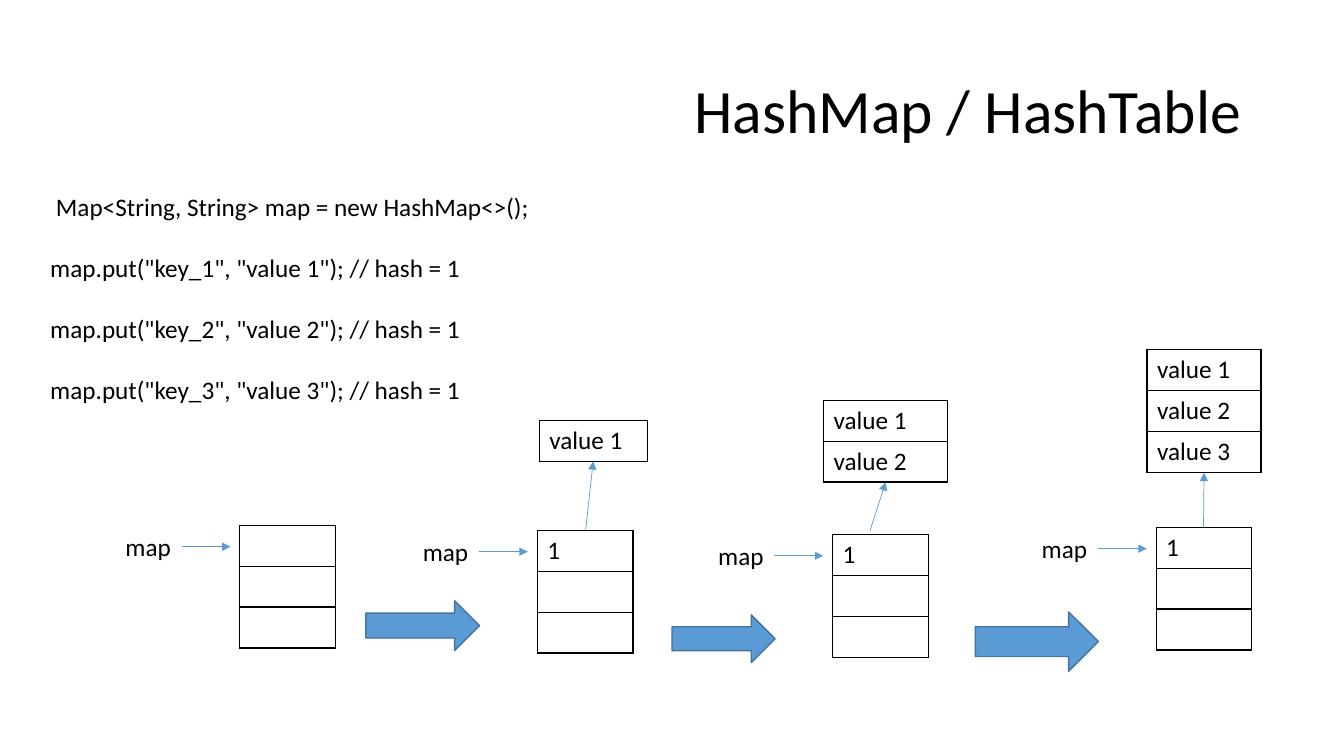
"""Builds the slide that shows a hash table filling one bucket."""
from dataclasses import dataclass
from typing import Any

from lxml.etree import SubElement as Sub
from pptx import Presentation
from pptx.dml.color import RGBColor
from pptx.enum.shapes import MSO_CONNECTOR as Link, MSO_SHAPE as Kind
from pptx.enum.text import MSO_ANCHOR as Anchor, MSO_AUTO_SIZE as Fit, PP_ALIGN as Align
from pptx.oxml.ns import qn
from pptx.util import Inches, Pt

BLACK = RGBColor(0, 0, 0)
BLUE = RGBColor(0x5B, 0x9B, 0xD5)
NAVY = RGBColor(0x43, 0x73, 0x9E)

WIDE, HIGH = Inches(13.333), Inches(7.5)
COL, ROW = WIDE / 40, HIGH / 22.5
CELL = 1.22

BODY = {"size": Pt(18), "name": "Calibri"}
HEAD = {"size": Pt(44), "name": "Calibri"}
CODE = (
    " Map<String, String> map = new HashMap<>();",
    'map.put("key_1", "value 1"); // hash = 1',
    'map.put("key_2", "value 2"); // hash = 1',
    'map.put("key_3", "value 3"); // hash = 1',
)


@dataclass
class Box:
    x: float
    y: float
    w: float
    h: float = CELL

    def emu(self) -> tuple[int, ...]:
        return round(self.x * COL), round(self.y * ROW), round(self.w * COL), round(self.h * ROW)


@dataclass
class Chain:
    box: Box
    size: int
    root: tuple[float, float]


@dataclass
class State:
    x: float
    y: float
    chain: Chain | None = None


STATES = (
    State(7.14, 15.63),
    State(15.99, 15.78, Chain(Box(16.05, 12.51, 3.21), 1, (17.43, 15.78))),
    State(24.78, 15.9, Chain(Box(24.51, 11.91, 3.7), 2, (25.89, 15.81))),
    State(34.41, 15.69, Chain(Box(34.14, 10.41, 3.39), 3, (35.82, 15.69))),
)
STEPS = (Box(10.89, 17.88, 3.38, 1.48), Box(20, 18.3, 3.07, 1.42), Box(29.03, 18.21, 3.66, 1.77))


def apply(item: Any, form: dict[str, Any]) -> None:
    for key, value in form.items():
        setattr(item, key, value)


def write(para: Any, text: str, form: dict[str, Any]) -> None:
    run = para.add_run()
    run.text = text
    apply(run.font, form)
    run.font.color.rgb = BLACK


def title(slide: Any, text: str) -> None:
    head = slide.shapes.title
    box = Box(2.75, 1.2, 34.5, 4.35).emu()
    apply(head, dict(zip(("left", "top", "width", "height"), box)))
    apply(head.text_frame, {"vertical_anchor": Anchor.MIDDLE, "word_wrap": True})
    para = head.text_frame.paragraphs[0]
    write(para, text, HEAD)
    apply(para, {"alignment": Align.RIGHT, "line_spacing": 0.9})
    para._p.get_or_add_pPr().set("rtl", "1")


def label(slide: Any, box: Box, lines: tuple[str, ...], wrap: bool) -> None:
    frame = slide.shapes.add_textbox(*box.emu()).text_frame
    apply(frame, {"word_wrap": wrap, "auto_size": Fit.SHAPE_TO_FIT_TEXT})
    for i, line in enumerate(lines):
        para = frame.add_paragraph() if i else frame.paragraphs[0]
        para.space_before = Pt(22 if i else 0)
        write(para, line, BODY)


def border(cell: Any) -> None:
    prop = cell._tc.get_or_add_tcPr()
    for side in ("a:lnL", "a:lnR", "a:lnT", "a:lnB"):
        line = Sub(prop, qn(side), w=str(Pt(1)))
        Sub(Sub(line, qn("a:solidFill")), qn("a:srgbClr"), val=str(BLACK))


def table(slide: Any, box: Box, texts: list[str]) -> None:
    size = Box(box.x, box.y, box.w, CELL * len(texts))
    grid = slide.shapes.add_table(len(texts), 1, *size.emu()).table
    apply(grid, {"first_row": False, "horz_banding": False})
    for i, text in enumerate(texts):
        cell = grid.cell(i, 0)
        border(cell)
        cell.fill.background()
        if text:
            write(cell.text_frame.paragraphs[0], text, BODY)


def arrow(slide: Any, start: tuple[float, float], end: tuple[float, float]) -> None:
    ends = [round(n * unit) for point in (start, end) for n, unit in zip(point, (COL, ROW))]
    wire = slide.shapes.add_connector(Link.STRAIGHT, *ends)
    wire.line.color.rgb = BLUE
    wire.line.width = Pt(0.5)
    Sub(wire.line._get_or_add_ln(), qn("a:tailEnd"), type="triangle")
    Sub(wire._element.spPr, qn("a:effectLst"))


def step(slide: Any, box: Box) -> None:
    shape = slide.shapes.add_shape(Kind.RIGHT_ARROW, *box.emu())
    shape.shadow.inherit = False
    shape.fill.solid()
    shape.fill.fore_color.rgb = BLUE
    shape.line.color.rgb = NAVY
    shape.line.width = Pt(1)


def draw(slide: Any, state: State) -> None:
    x, y, chain = state.x, state.y, state.chain
    table(slide, Box(x, y, 2.85), ["1" if chain else "", "", ""])
    label(slide, Box(x - 3.7, y + 0.04, 1.97, 1.2), ("map",), False)
    arrow(slide, (x - 1.73, y + 0.64), (x - 0.28, y + 0.64))
    if chain:
        box = chain.box
        table(slide, box, [f"value {n + 1}" for n in range(chain.size)])
        arrow(slide, chain.root, (box.x + box.w / 2, box.y + CELL * chain.size))


def main() -> None:
    deck = Presentation()
    apply(deck, {"slide_width": WIDE, "slide_height": HIGH})
    slide = deck.slides.add_slide(deck.slide_layouts[5])
    title(slide, "HashMap / HashTable")
    label(slide, Box(1.2, 5.55, 20, 7.56), CODE, True)
    for state in STATES:
        draw(slide, state)
    for box in STEPS:
        step(slide, box)
    deck.save("out.pptx")


if __name__ == "__main__":
    main()
